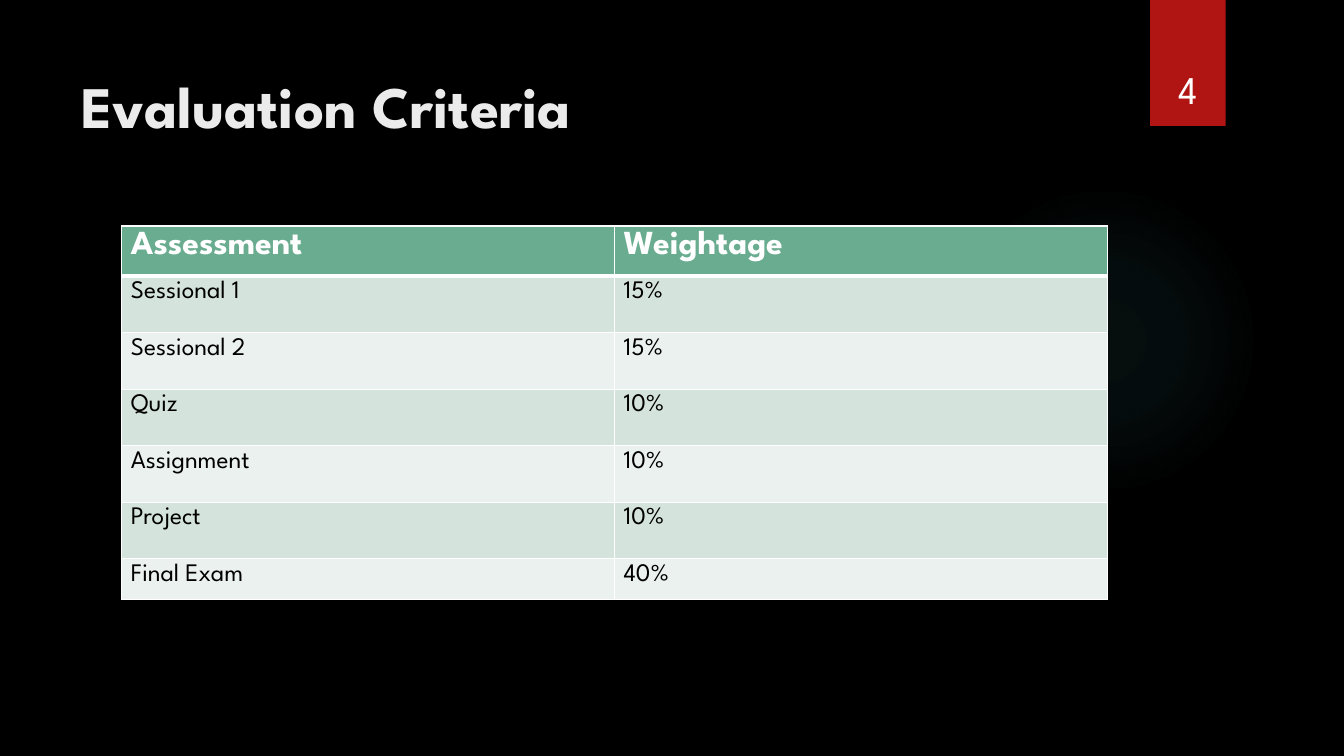
from lxml.etree import SubElement
from pptx import Presentation
from pptx.dml.color import RGBColor
from pptx.enum.shapes import MSO_SHAPE
from pptx.enum.text import MSO_ANCHOR, PP_ALIGN
from pptx.oxml import parse_xml
from pptx.oxml.ns import nsdecls, qn
from pptx.util import Pt

FONT = "League Spartan"
BLACK = RGBColor(0x00, 0x00, 0x00)
WHITE = RGBColor(0xFF, 0xFF, 0xFF)
TITLE_GRAY = RGBColor(0xEB, 0xEB, 0xEB)
RED = RGBColor(0xB0, 0x15, 0x13)
TEAL = RGBColor(0x50, 0xB9, 0xC1)
HEADER_GREEN = RGBColor(0x6A, 0xAC, 0x90)
BANDS = [RGBColor(0xEB, 0xF1, 0xEE), RGBColor(0xD4, 0xE3, 0xDB)]

CRITERIA = [
    ("Assessment", "Weightage"),
    ("Sessional 1", "15%"),
    ("Sessional 2", "15%"),
    ("Quiz", "10%"),
    ("Assignment", "10%"),
    ("Project", "10%"),
    ("Final Exam", "40%"),
]


def write(tf, text, size, color, bold=False):
    tf.text = text
    font = tf.paragraphs[0].runs[0].font
    font.name, font.size, font.bold = FONT, Pt(size), bold
    font.color.rgb = color


def add_plain_shape(slide, kind, left, top, width, height):
    sp = slide.shapes.add_shape(kind, Pt(left), Pt(top), Pt(width), Pt(height))
    sp.shadow.inherit = False
    sp.line.fill.background()
    return sp


def add_glow(slide, left, top, size):
    sp = add_plain_shape(slide, MSO_SHAPE.OVAL, left, top, size, size)
    stops = "".join(
        f'<a:gs pos="{pos * 1000}"><a:srgbClr val="{TEAL}">'
        f'<a:alpha val="{alpha * 1000}"/></a:srgbClr></a:gs>'
        for pos, alpha in [(0, 7), (36, 6), (69, 0)]
    )
    gradient = parse_xml(
        f'<a:gradFill {nsdecls("a")}><a:gsLst>{stops}</a:gsLst>'
        '<a:path path="circle"><a:fillToRect l="50000" t="50000" '
        'r="50000" b="50000"/></a:path></a:gradFill>'
    )
    sp.element.spPr.find(qn("a:prstGeom")).addnext(gradient)


def add_page_tab(slide, left, top, width, height):
    sp = add_plain_shape(slide, MSO_SHAPE.RECTANGLE, left, top, width, height)
    sp.fill.solid()
    sp.fill.fore_color.rgb = RED
    number = slide.shapes.add_textbox(
        Pt(left - 6), Pt(top + 23), Pt(width + 12), Pt(height - 29.5))
    tf = number.text_frame
    tf.word_wrap = True
    tf.vertical_anchor = MSO_ANCHOR.BOTTOM
    write(tf, "4", 28, WHITE)
    tf.paragraphs[0].alignment = PP_ALIGN.CENTER


def add_title(slide, left, top, width, height):
    box = slide.shapes.add_textbox(Pt(left), Pt(top), Pt(width), Pt(height))
    tf = box.text_frame
    tf.word_wrap = True
    tf.margin_top = Pt(14)
    write(tf, "Evaluation Criteria", 42, TITLE_GRAY, True)


def set_borders(cell, widths):
    tcPr = cell._tc.get_or_add_tcPr()
    for i, (side, width) in enumerate(widths.items()):
        line = parse_xml(
            f'<a:ln{side} {nsdecls("a")} w="{Pt(width)}"><a:solidFill/></a:ln{side}>')
        SubElement(line[0], qn("a:srgbClr"), val=str(WHITE))
        tcPr.insert(i, line)


def add_criteria_table(slide, left, top, width, height):
    rows, cols = len(CRITERIA), len(CRITERIA[0])
    edge_height = 29.3
    body_height = (height - 2 * edge_height) / (rows - 2)
    table = slide.shapes.add_table(
        rows, cols, Pt(left), Pt(top), Pt(width), Pt(height)).table
    for column in table.columns:
        column.width = Pt(width / cols)
    for i, texts in enumerate(CRITERIA):
        header = i == 0
        table.rows[i].height = Pt(edge_height if i in (0, rows - 1) else body_height)
        for j, text in enumerate(texts):
            cell = table.cell(i, j)
            cell.margin_left = cell.margin_right = Pt(6.5)
            cell.margin_top = cell.margin_bottom = Pt(3.5)
            cell.fill.solid()
            cell.fill.fore_color.rgb = HEADER_GREEN if header else BANDS[i % 2]
            write(cell.text_frame, text, 24 if header else 18,
                  WHITE if header else BLACK, header)
            set_borders(cell, {"L": 1, "R": 1, "T": 3 if i == 1 else 1,
                               "B": 3 if header else 1})


def build_criteria_slide(prs):
    slide = prs.slides.add_slide(prs.slide_layouts[6])
    slide.background.fill.solid()
    slide.background.fill.fore_color.rgb = BLACK
    add_glow(slide, 677.5, 131.8, 221.8)
    add_page_tab(slide, 821.5, 0, 54, 90)
    add_title(slide, 51, 36, 741, 110)
    add_criteria_table(slide, 87, 161.5, 704, 260.5)


def main():
    prs = Presentation()
    prs.slide_width, prs.slide_height = Pt(960), Pt(540)
    build_criteria_slide(prs)
    prs.save("out.pptx")


if __name__ == "__main__":
    main()
